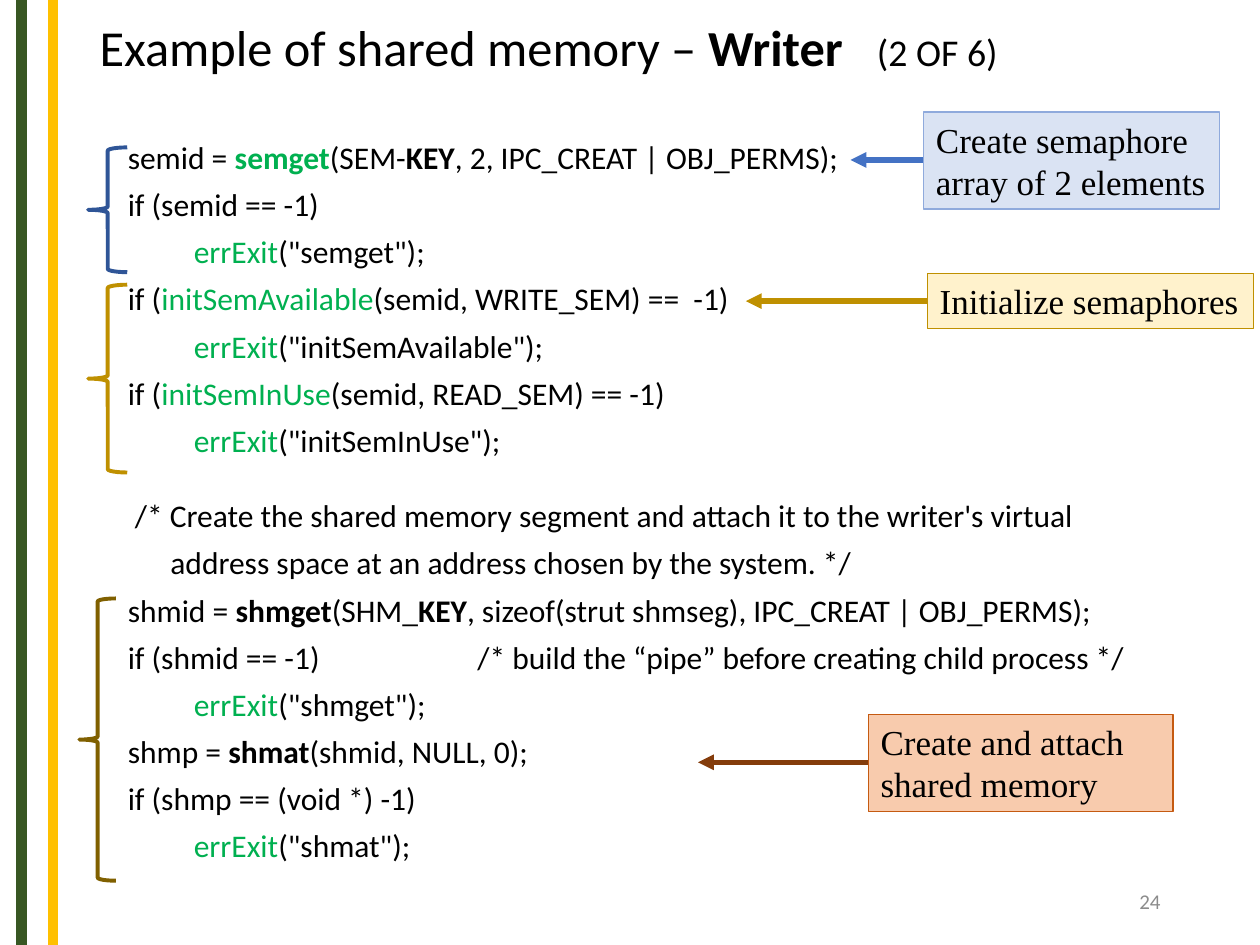
from lxml import etree
from pptx import Presentation
from pptx.dml.color import RGBColor
from pptx.enum.shapes import MSO_CONNECTOR, MSO_SHAPE
from pptx.enum.text import MSO_ANCHOR, MSO_AUTO_SIZE, PP_ALIGN
from pptx.oxml.ns import qn
from pptx.util import Pt

PX = 9144  # 100 px to the inch
LINE = MSO_CONNECTOR.STRAIGHT
RECT, BRACE = MSO_SHAPE.RECTANGLE, MSO_SHAPE.LEFT_BRACE
TOP, MIDDLE = MSO_ANCHOR.TOP, MSO_ANCHOR.MIDDLE
LEFT, RIGHT = PP_ALIGN.LEFT, PP_ALIGN.RIGHT

BLACK = RGBColor(0x00, 0x00, 0x00)
GRAY = RGBColor(0x8C, 0x8C, 0x8C)
GREEN = RGBColor(0x00, 0xB0, 0x50)
DARK_GREEN = RGBColor(0x38, 0x57, 0x23)
YELLOW = RGBColor(0xFF, 0xC0, 0x00)
BLUE = RGBColor(0x44, 0x72, 0xC4)
DARK_BLUE = RGBColor(0x2F, 0x55, 0x97)
MID_BLUE = RGBColor(0x8F, 0xAA, 0xDC)
PALE_BLUE = RGBColor(0xDA, 0xE3, 0xF3)
GOLD = RGBColor(0xBF, 0x90, 0x00)
DARK_GOLD = RGBColor(0x80, 0x60, 0x00)
PALE_GOLD = RGBColor(0xFF, 0xF2, 0xCC)
BROWN = RGBColor(0x84, 0x3C, 0x0B)
ORANGE = RGBColor(0xC5, 0x5A, 0x11)
PALE_ORANGE = RGBColor(0xF8, 0xCB, 0xAD)

BOLD = {"bold": True}
CALL = {"color": GREEN}


def err_exit(name):
    return ["\t", ("errExit", CALL), f'("{name}");']


SEMAPHORE_CODE = [
    ["    semid = ", ("semget", {"bold": True, "color": GREEN}), "(SEM-",
     ("KEY", BOLD), ", 2, IPC_CREAT | OBJ_PERMS);"],
    ["    if (semid == -1)"],
    err_exit("semget"),
    ["    if (", ("initSemAvailable", CALL), "(semid, WRITE_SEM) ==  -1)"],
    err_exit("initSemAvailable"),
    ["    if (", ("initSemInUse", CALL), "(semid, READ_SEM) == -1)"],
    err_exit("initSemInUse"),
]
MEMORY_CODE = [
    ["     /* Create the shared memory segment and attach it to the writer's virtual"],
    ["          address space at an address chosen by the system. */"],
    ["    shmid = ", ("shmget", BOLD), "(SHM_", ("KEY", BOLD),
     ", sizeof(strut shmseg), IPC_CREAT | OBJ_PERMS);"],
    ["    if (shmid == -1)\t/* build the “pipe” before creating child process */"],
    err_exit("shmget"),
    ["    shmp = ", ("shmat", BOLD), "(shmid, NULL, 0);"],
    ["    if (shmp == (void *) -1)"],
    err_exit("shmat"),
]


def place(sp, box):
    sp.left, sp.top, sp.width, sp.height = (v * PX for v in box)


def write(tf, lines, size, font="Calibri", color=BLACK, align=LEFT, anchor=TOP,
          spacing=1.0, before=0, gaps=None, tabs=(), wrap=True):
    """Each line is a list of strings or (string, format) pairs; gaps maps a line to its space before."""
    tf.word_wrap, tf.vertical_anchor = wrap, anchor
    tf.auto_size = MSO_AUTO_SIZE.NONE
    for i, parts in enumerate(lines):
        p = tf.add_paragraph() if i else tf.paragraphs[0]
        p.alignment, p.line_spacing = align, spacing
        p.space_before = Pt((gaps or {}).get(i, before if i else 0))
        if tabs:
            tab_list = etree.SubElement(p._p.get_or_add_pPr(), qn("a:tabLst"))
            for pos in tabs:
                etree.SubElement(tab_list, qn("a:tab"), pos=str(pos * PX), algn="l")
        for part in parts:
            text, fmt = (part, {}) if isinstance(part, str) else part
            r = p.add_run()
            r.text = text
            r.font.name, r.font.size = font, Pt(fmt.get("size", size))
            r.font.bold = fmt.get("bold", False)
            r.font.color.rgb = fmt.get("color", color)


def add_line(s, x1, y1, x2, y2, color, width, arrow=False):
    line = s.shapes.add_connector(LINE, x1 * PX, y1 * PX, x2 * PX, y2 * PX)
    line.line.color.rgb, line.line.width = color, Pt(width)
    if arrow:
        etree.SubElement(line.line._get_or_add_ln(), qn("a:tailEnd"), type="triangle")
    etree.SubElement(line._element.spPr, qn("a:effectLst"))


def add_shape(s, kind, box, color, width, fill=None):
    sp = s.shapes.add_shape(kind, *(v * PX for v in box))
    sp.shadow.inherit = False
    sp.line.color.rgb, sp.line.width = color, Pt(width)
    if fill is None:
        sp.fill.background()
    else:
        sp.fill.solid()
        sp.fill.fore_color.rgb = fill
    return sp


def add_side_bars(s, height):
    for x, color in ((17, DARK_GREEN), (42, YELLOW)):
        add_line(s, x, 0, x, height, color, 6)


def add_title(s, box):
    title = s.shapes.title
    place(title, box)
    write(title.text_frame, [["Example of shared memory – ", ("Writer", BOLD),
                              ("\t(2 OF 6)", {"size": 21.6})]],
          28.8, anchor=MIDDLE, spacing=0.9, tabs=(617,))


def add_code(s, box):
    tb = s.shapes.add_textbox(*(v * PX for v in box))
    write(tb.text_frame, SEMAPHORE_CODE + MEMORY_CODE, 18, spacing=0.9, before=7.5,
          gaps={len(SEMAPHORE_CODE): 23.5}, tabs=(75, 300))


def add_callout(s, box, lines, fill, border, arrow_color, arrow_end, wrap=False):
    """A note with an arrow from the middle of its left side to the code."""
    left, top, _, height = box
    y = top + height // 2
    add_line(s, left, y, arrow_end, y, arrow_color, 3, arrow=True)
    note = add_shape(s, RECT, box, border, 0.75, fill)
    write(note.text_frame, [[line] for line in lines], 20, "Times New Roman", wrap=wrap)


def add_page_number(s, box, number):
    tb = s.shapes.add_textbox(*(v * PX for v in box))
    write(tb.text_frame, [[number]], 12, color=GRAY, align=RIGHT, anchor=MIDDLE)


def main():
    prs = Presentation()
    prs.slide_width, prs.slide_height = 1000 * PX, 750 * PX
    s = prs.slides.add_slide(prs.slide_layouts[5])
    add_side_bars(s, 750)
    add_title(s, (69, 17, 862, 46))
    add_code(s, (69, 108, 862, 627))
    add_page_number(s, (706, 695, 225, 40), "24")
    for box, color in (((70, 117, 31, 99), DARK_BLUE),
                       ((70, 226, 31, 149), GOLD),
                       ((63, 475, 29, 224), DARK_GOLD)):
        add_shape(s, BRACE, box, color, 2.25)
    add_callout(s, (733, 89, 235, 77), ["Create semaphore", "array of 2 elements"],
                PALE_BLUE, MID_BLUE, BLUE, 675)
    add_callout(s, (736, 217, 259, 44), ["Initialize semaphores"],
                PALE_GOLD, GOLD, GOLD, 592)
    add_callout(s, (689, 567, 242, 77), ["Create and attach shared memory"],
                PALE_ORANGE, ORANGE, BROWN, 554, wrap=True)
    prs.save("out.pptx")


if __name__ == "__main__":
    main()
